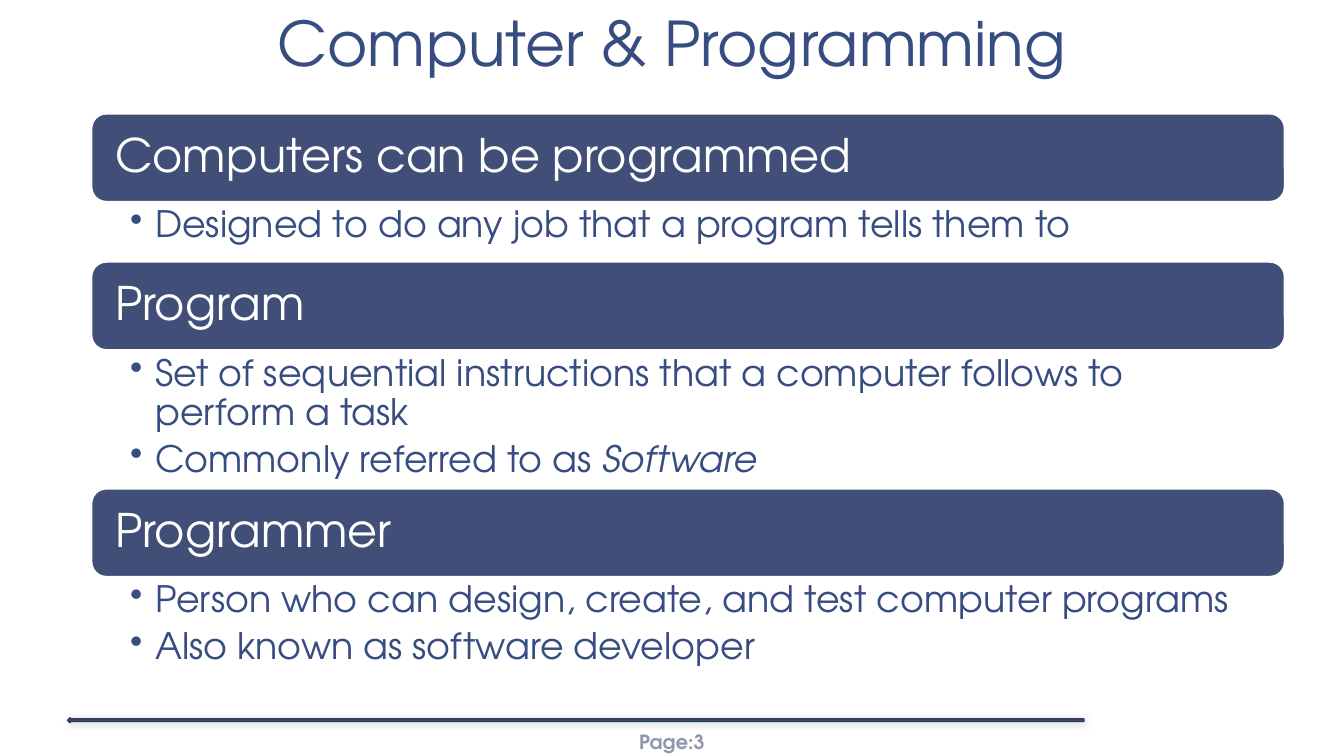
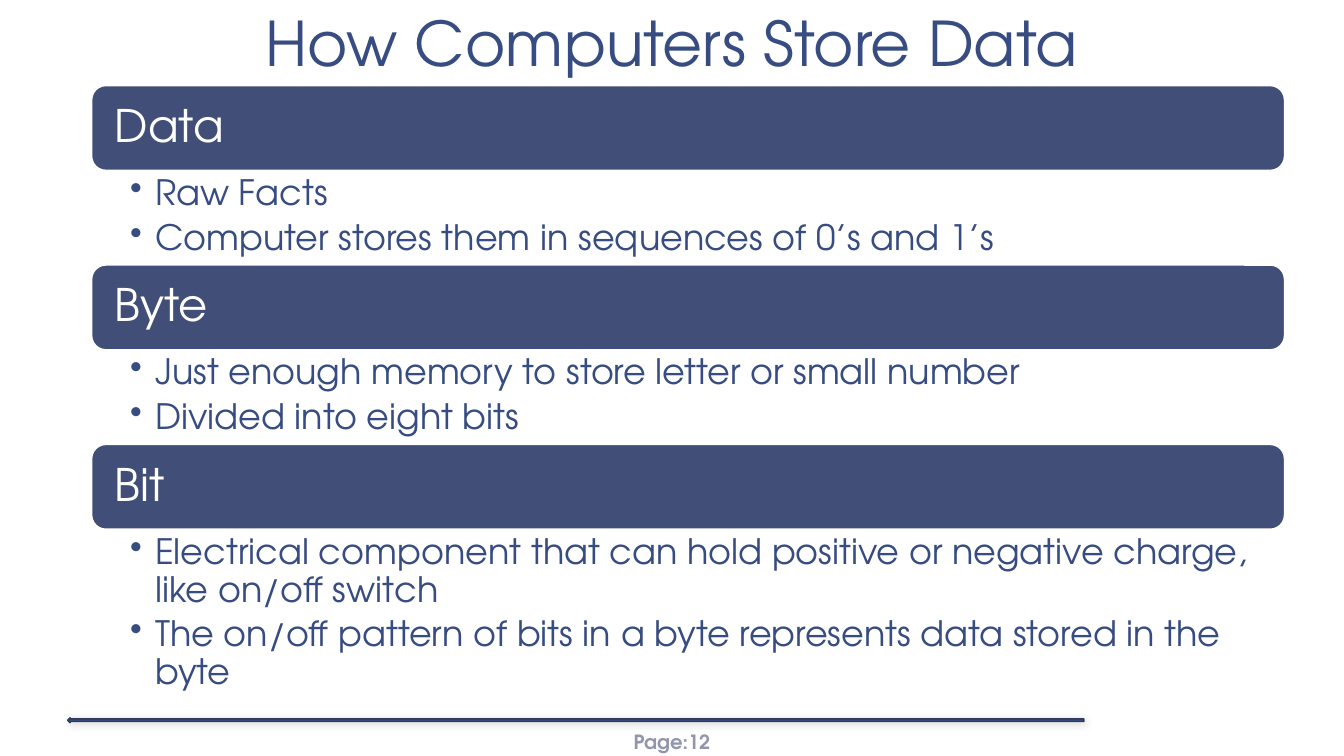
from lxml import etree
from pptx import Presentation
from pptx.dml.color import RGBColor
from pptx.enum.shapes import MSO_SHAPE
from pptx.enum.text import MSO_ANCHOR, MSO_AUTO_SIZE, PP_ALIGN
from pptx.oxml import parse_xml
from pptx.oxml.ns import nsdecls, qn
from pptx.util import Inches, Pt

ROUND, ARROW = MSO_SHAPE.ROUNDED_RECTANGLE, MSO_SHAPE.LEFT_ARROW
TOP, MID, LOW = MSO_ANCHOR.TOP, MSO_ANCHOR.MIDDLE, MSO_ANCHOR.BOTTOM
LEFT, CENTER = PP_ALIGN.LEFT, PP_ALIGN.CENTER
FIXED = MSO_AUTO_SIZE.NONE

FONT = "TeX Gyre Adventor"
WHITE = RGBColor(0xFF, 0xFF, 0xFF)
BLUE = RGBColor(0x37, 0x4C, 0x81)
SLATE = RGBColor(0x41, 0x4E, 0x77)
NAVY = RGBColor(0x30, 0x3A, 0x58)
GREY = RGBColor(0x91, 0x96, 0xAC)

TITLE = {"size": Pt(44), "color": BLUE}
PAGE = {"size": Pt(14), "color": GREY, "bold": True}

SHADOW = (
    f'<a:effectLst {nsdecls("a")}><a:outerShdw blurRad="76200" dist="12700" '
    'dir="2700000"><a:srgbClr val="000000"><a:alpha val="20000"/></a:srgbClr>'
    '</a:outerShdw></a:effectLst>'
)


def place(box):
    return [Inches(n) for n in box]


def set_frame(shape, pads, anchor):
    """Fix the size, wrapping and insets of a text frame."""
    left, top, right, low = place(pads)
    form = {"word_wrap": True, "auto_size": FIXED, "vertical_anchor": anchor,
            "margin_left": left, "margin_top": top,
            "margin_right": right, "margin_bottom": low}
    for name, value in form.items():
        setattr(shape.text_frame, name, value)
    return shape.text_frame


def add_run(para, text, form):
    run = para.add_run()
    run.text = text
    run.font.name = FONT
    for name, value in form.items():
        if name == "color":
            run.font.color.rgb = value
        else:
            setattr(run.font, name, value)


def add_line(para, text, form, align=LEFT, space=1.0):
    """Write one paragraph; parts between asterisks are italic."""
    para.alignment = align
    para.line_spacing = space
    for i, part in enumerate(text.split("*")):
        if part:
            add_run(para, part, {**form, "italic": True} if i % 2 else form)


def add_bullet(para):
    props = para._p.get_or_add_pPr()
    props.set("marL", str(Inches(0.25)))
    props.set("indent", str(-Inches(0.25)))
    etree.SubElement(props, qn("a:buChar")).set("char", "•")


def add_shape(shapes, kind, box, fill, line):
    shape = shapes.add_shape(kind, *place(box))
    shape.shadow.inherit = False
    shape.fill.solid()
    shape.fill.fore_color.rgb = fill
    shape.line.color.rgb = line
    shape.line.width = Pt(1)
    return shape


def add_title(slide, text, box):
    title = slide.shapes.title
    title.left, title.top, title.width, title.height = place(box)
    frame = set_frame(title, (0.13, 0.07, 0.13, 0.07), LOW)
    add_line(frame.paragraphs[0], text, TITLE, CENTER, 0.85)


def add_footer(slide, page, box):
    """Draw the arrow rule with the page number below it."""
    x, y, w, h = box
    rule = add_shape(slide.shapes, ARROW, (x, y, w, 0.05), BLUE, NAVY)
    props = rule._element.spPr
    props.replace(props.find(qn("a:effectLst")), parse_xml(SHADOW))
    note = slide.shapes.add_textbox(*place((x + 5.11, y + 0.04, 1.77, h - 0.04)))
    frame = set_frame(note, (0.04, 0.02, 0.04, 0.02), MID)
    add_line(frame.paragraphs[0], f"Page:{page}", PAGE, CENTER)


def add_bar(shapes, text, box, size):
    bar = add_shape(shapes, ROUND, box, SLATE, WHITE)
    frame = set_frame(bar, (0.19, 0.1, 0.19, 0.1), MID)
    form = {"size": Pt(size), "color": WHITE}
    add_line(frame.paragraphs[0], text, form, space=0.9)


def add_list(shapes, items, box, size):
    frame = set_frame(shapes.add_textbox(*place(box)), (0.38, 0.05, 0.26, 0.05), TOP)
    for i, item in enumerate(items):
        para = frame.add_paragraph() if i else frame.paragraphs[0]
        add_bullet(para)
        add_line(para, item, {"size": Pt(size), "color": BLUE}, space=0.9)
        para.space_after = Pt(size * 0.2)


def add_stack(slide, parts, box, bar, sizes):
    """Stack heading bars, each followed by its list."""
    x, y, w = box
    group = slide.shapes.add_group_shape().shapes
    for head, tall, items in parts:
        add_bar(group, head, (x, y, w, bar), sizes[0])
        add_list(group, items, (x, y + bar, w, tall), sizes[1])
        y += bar + tall


# Each part: heading, list height, list items
SLIDES = [
    {"title": "Computer & Programming", "page": 3,
     "top": 1.13, "bar": 0.87, "sizes": (33, 26),
     "parts": [
         ("Computers can be programmed", 0.6,
          ["Designed to do any job that a program tells them to"]),
         ("Program", 1.38,
          ["Set of sequential instructions that a computer follows to "
           "perform a task",
           "Commonly referred to as *Software*"]),
         ("Programmer", 0.99,
          ["Person who can design, create, and test computer programs",
           "Also known as software developer"]),
     ]},
    {"title": "How Computers Store Data", "page": 12,
     "top": 0.85, "bar": 0.84, "sizes": (32, 25),
     "parts": [
         ("Data", 0.94,
          ["Raw Facts",
           "Computer stores them in sequences of 0’s and 1’s"]),
         ("Byte", 0.94,
          ["Just enough memory to store letter or small number",
           "Divided into eight bits"]),
         ("Bit", 1.74,
          ["Electrical component that can hold positive or negative charge, "
           "like on/off switch",
           "The on/off pattern of bits in a byte represents data stored in "
           "the byte"]),
     ]},
]


def main():
    deck = Presentation()
    deck.slide_width, deck.slide_height = Inches(13.33), Inches(7.5)
    plain = deck.slide_layouts.get_by_name("Title Only")
    for data in SLIDES:
        slide = deck.slides.add_slide(plain)
        add_footer(slide, data["page"], (0.67, 7.12, 10.08, 0.44))
        add_title(slide, data["title"], (1.11, 0, 11.11, 0.86))
        add_stack(slide, data["parts"], (0.91, data["top"], 11.83),
                  data["bar"], data["sizes"])
    deck.save("out.pptx")


if __name__ == "__main__":
    main()
